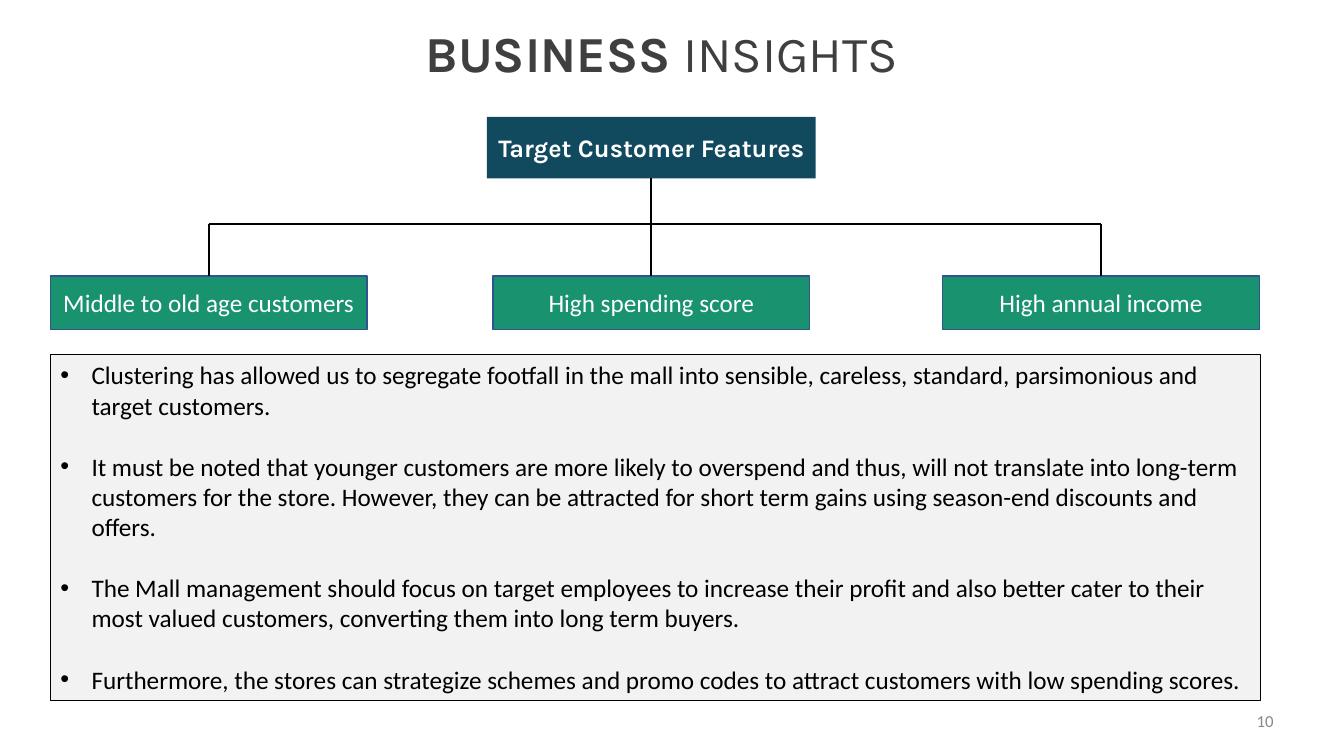
from dataclasses import dataclass

from lxml.etree import SubElement
from pptx import Presentation
from pptx.dml.color import RGBColor
from pptx.enum.shapes import MSO_CONNECTOR as Connector, MSO_SHAPE as Shape
from pptx.enum.text import MSO_ANCHOR as Anchor, PP_ALIGN as Align
from pptx.oxml.ns import qn
from pptx.util import Inches, Pt


@dataclass(frozen=True)
class Theme:
    """Colours, fonts and type sizes of the slide."""
    heading: str = "Karla"
    body: str = "Calibri"
    ink: str = "000000"
    white: str = "FFFFFF"
    title: str = "3F3F3F"
    muted: str = "888888"
    navy: str = "114A5E"
    green: str = "18926F"
    green_edge: str = "31538F"
    panel: str = "F2F2F2"
    title_size: int = 36
    text_size: int = 18
    number_size: int = 12


THEME = Theme()
TOP, BOTTOM = 0, 2
BUS_Y = 2.22
FEATURE_TOP, FEATURE_WIDTH, FEATURE_HEIGHT = 2.74, 3.14, 0.53
FEATURES = [
    ("Middle to old age customers", 0.5),
    ("High spending score", 4.89),
    ("High annual income", 9.35),
]
INSIGHTS = [
    "Clustering has allowed us to segregate footfall in the mall into sensible, careless, "
    "standard, parsimonious and target customers.",
    "It must be noted that younger customers are more likely to overspend and thus, will not "
    "translate into long-term customers for the store. However, they can be attracted for "
    "short term gains using season-end discounts and offers.",
    "The Mall management should focus on target employees to increase their profit and also "
    "better cater to their most valued customers, converting them into long term buyers.",
    "Furthermore, the stores can strategize schemes and promo codes to attract customers with "
    "low spending scores.",
]


def add_span(para, text, font=THEME.body, size=THEME.text_size, color=THEME.ink, bold=False):
    """Append formatted text to a paragraph."""
    span = para.add_run()
    span.text = text
    span.font.name = font
    span.font.size = Pt(size)
    span.font.bold = bold
    span.font.color.rgb = RGBColor.from_string(color)


def add_label(page, left, top, width, height, align, anchor):
    """Add a wrapping text box and return its first paragraph."""
    box = page.shapes.add_textbox(Inches(left), Inches(top), Inches(width), Inches(height))
    box.text_frame.word_wrap = True
    box.text_frame.vertical_anchor = anchor
    para = box.text_frame.paragraphs[0]
    para.alignment = align
    return para


def add_box(page, left, top, width, height, fill, edge=None, edge_width=1):
    """Add a flat rectangle with an optional outline."""
    box = page.shapes.add_shape(
        Shape.RECTANGLE, Inches(left), Inches(top), Inches(width), Inches(height))
    box.shadow.inherit = False
    box.fill.solid()
    box.fill.fore_color.rgb = RGBColor.from_string(fill)
    if edge:
        box.line.color.rgb = RGBColor.from_string(edge)
        box.line.width = Pt(edge_width)
    else:
        box.line.fill.background()
    box.text_frame.word_wrap = True
    return box


def add_caption(box, text, **style):
    """Write one centred line in a box."""
    box.text_frame.vertical_anchor = Anchor.MIDDLE
    para = box.text_frame.paragraphs[0]
    para.alignment = Align.CENTER
    add_span(para, text, color=THEME.white, **style)


def add_line(page, start, end):
    """Draw a straight branch of the tree."""
    line = page.shapes.add_connector(
        Connector.STRAIGHT, *(Inches(value) for value in (*start, *end)))
    line.line.color.rgb = RGBColor.from_string(THEME.ink)
    line.line.width = Pt(1.5)
    SubElement(line._element.spPr, qn("a:effectLst"))
    return line


def add_bullets(box, items):
    """Fill a box with bulleted paragraphs set one line apart."""
    frame = box.text_frame
    frame.vertical_anchor = Anchor.TOP
    for index, item in enumerate(items):
        para = frame.add_paragraph() if index else frame.paragraphs[0]
        para.alignment = Align.LEFT
        para.space_before = Pt(22 if index else 0)
        props = para._p.get_or_add_pPr()
        props.set("marL", str(Inches(0.31)))
        props.set("indent", str(-Inches(0.31)))
        SubElement(props, qn("a:buFont"), typeface="Arial")
        SubElement(props, qn("a:buChar"), char="•")
        add_span(para, item)


def add_tree(page):
    """Draw the target customer heading and its three features."""
    root = add_box(page, 4.83, 1.16, 3.26, 0.61, THEME.navy)
    add_caption(root, "Target Customer Features", font=THEME.heading, bold=True)
    boxes = []
    for text, left in FEATURES:
        box = add_box(page, left, FEATURE_TOP, FEATURE_WIDTH, FEATURE_HEIGHT,
                      THEME.green, THEME.green_edge)
        add_caption(box, text)
        boxes.append(box)
    first, middle, last = (left + FEATURE_WIDTH / 2 for _, left in FEATURES)
    trunk = add_line(page, (middle, 1.77), (middle, FEATURE_TOP))
    trunk.begin_connect(root, BOTTOM)
    trunk.end_connect(boxes[1], TOP)
    add_line(page, (first, BUS_Y), (last, BUS_Y))
    for center, box in ((first, boxes[0]), (last, boxes[-1])):
        branch = add_line(page, (center, FEATURE_TOP), (center, BUS_Y))
        branch.begin_connect(box, TOP)


def main():
    """Build the slide and save it."""
    deck = Presentation()
    deck.slide_width, deck.slide_height = Inches(13.33), Inches(7.5)
    page = deck.slides.add_slide(deck.slide_layouts[6])
    title = add_label(page, 0.5, -0.08, 12.13, 0.96, Align.CENTER, Anchor.BOTTOM)
    title.line_spacing = 0.9
    for text, bold in (("BUSINESS ", True), ("INSIGHTS", False)):
        add_span(title, text, font=THEME.heading, size=THEME.title_size,
                 color=THEME.title, bold=bold)
    add_tree(page)
    panel = add_box(page, 0.5, 3.52, 12, 3.43, THEME.panel, THEME.ink, 0.75)
    add_bullets(panel, INSIGHTS)
    number = add_label(page, 12.26, 6.95, 0.47, 0.4, Align.RIGHT, Anchor.MIDDLE)
    add_span(number, "10", size=THEME.number_size, color=THEME.muted)
    deck.save("out.pptx")


if __name__ == "__main__":
    main()
